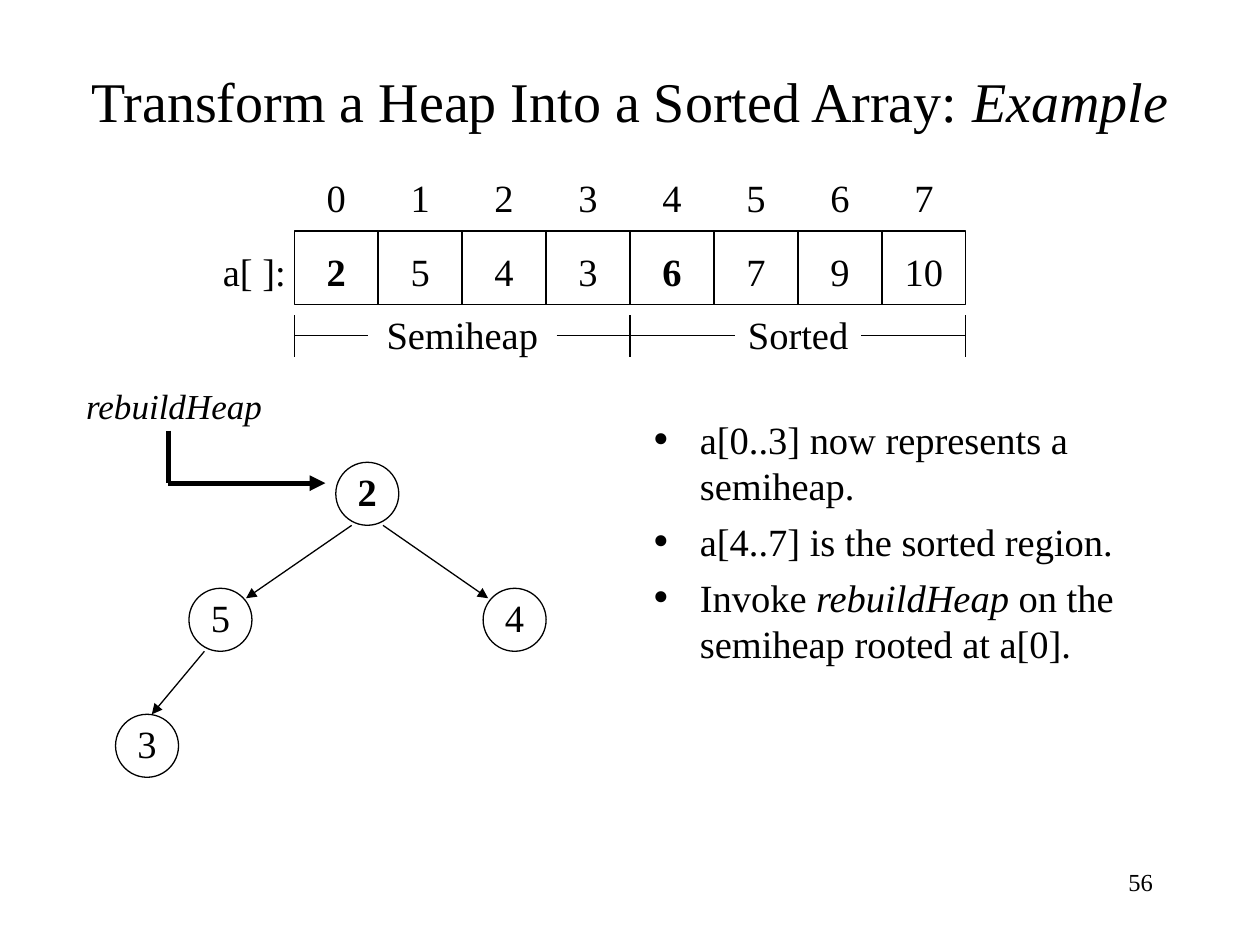
from lxml import etree
from pptx import Presentation
from pptx.dml.color import RGBColor
from pptx.enum import shapes, text
from pptx.oxml import ns
from pptx.util import Cm, Pt

COLORS = {"ink": "000000", "paper": "FFFFFF"}
INK = RGBColor.from_string(COLORS["ink"])
FONT = "Times New Roman"
ALIGN = text.PP_ALIGN
ANCHOR = text.MSO_ANCHOR

deck = Presentation()
deck.slide_width, deck.slide_height = Cm(25.4), Cm(19.05)
slide = deck.slides.add_slide(deck.slide_layouts[6])
slide.background.fill.solid()
slide.background.fill.fore_color.rgb = RGBColor.from_string(COLORS["paper"])


def add_label(left, top, width, height, parts, size=22, align=ALIGN.CENTER,
              outline=None, bold=False, anchor=ANCHOR.MIDDLE, wrap=True):
    box = (left, top, width, height)
    if outline is None:
        holder = slide.shapes.add_textbox(*map(Cm, box))
    else:
        holder = slide.shapes.add_shape(outline, *map(Cm, box))
        holder.shadow.inherit = False
        holder.fill.background()
        holder.line.color.rgb = INK
        holder.line.width = Pt(0.75)
        holder.text_frame.margin_left = holder.text_frame.margin_right = 0
    frame = holder.text_frame
    frame.word_wrap = wrap
    frame.vertical_anchor = anchor
    for number, paragraph_parts in enumerate(parts):
        paragraph = frame.add_paragraph() if number else frame.paragraphs[0]
        paragraph.alignment = align
        for words, italic in paragraph_parts:
            run = paragraph.add_run()
            run.text = words
            run.font.name, run.font.size = FONT, Pt(size)
            run.font.bold, run.font.italic = bold, italic
            run.font.color.rgb = INK
    return frame


def add_line(x1, y1, x2, y2, width=0.75, arrow=False):
    line = slide.shapes.add_connector(
        shapes.MSO_CONNECTOR.STRAIGHT, Cm(x1), Cm(y1), Cm(x2), Cm(y2))
    line.line.color.rgb = INK
    line.line.width = Pt(width)
    if arrow:
        etree.SubElement(line.line._get_or_add_ln(), ns.qn("a:tailEnd"), type="triangle")
    etree.SubElement(line._element.spPr, ns.qn("a:effectLst"))


add_label(1.48, 1.27, 22.44, 1.48,
          [[("Transform a Heap Into a Sorted Array: ", False), ("Example", True)]], size=32)

notes = add_label(12.91, 8.26, 10.8, 9.31, [
    [("a[0..3] now represents a semiheap.", False)],
    [("a[4..7] is the sorted region.", False)],
    [("Invoke ", False), ("rebuildHeap", True), (" on the semiheap rooted at a[0].", False)],
], align=ALIGN.LEFT, anchor=ANCHOR.TOP)
for paragraph in notes.paragraphs:
    paragraph.space_before = Pt(5.5)
    props = paragraph._p.get_or_add_pPr()
    props.set("marL", str(Cm(0.95)))
    props.set("indent", str(-Cm(0.95)))
    etree.SubElement(props, ns.qn("a:buSzPct"), val="120000")
    etree.SubElement(props, ns.qn("a:buFont"), typeface=FONT)
    etree.SubElement(props, ns.qn("a:buChar"), char="•")

NODE = 1.27
for value, left, top in [("3", 2.33, 14.4), ("5", 3.81, 11.86),
                         ("4", 9.74, 11.86), ("2", 6.77, 9.32)]:
    node = add_label(left, top, NODE, NODE, [[(value, False)]],
                     outline=shapes.MSO_SHAPE.OVAL, bold=value == "2", wrap=False)
    node.margin_top, node.margin_bottom = 0, Cm(0.1)

for edge in [(4.12, 13.13, 3.06, 14.4), (7.09, 10.59, 4.96, 12.06),
             (7.72, 10.59, 9.84, 12.06)]:
    add_line(*edge, arrow=True)

ARRAY_LEFT, ARRAY_RIGHT = 5.93, 19.47
CELL = (ARRAY_RIGHT - ARRAY_LEFT) / 8
for index, value in enumerate([2, 5, 4, 3, 6, 7, 9, 10]):
    left = ARRAY_LEFT + index * CELL
    add_label(left, 3.39, CELL, 1.19, [[(str(index), False)]], anchor=ANCHOR.TOP)
    cell = add_label(left, 4.66, CELL, 1.48, [[(str(value), False)]],
                     outline=shapes.MSO_SHAPE.RECTANGLE, bold=value in (2, 6))
    cell.margin_top, cell.margin_bottom = Cm(0.28), Cm(0.13)

add_label(4.24, 4.88, 1.78, 1.19, [[("a[ ]:", False)]], wrap=False)
add_label(7.54, 6.15, 3.56, 1.19, [[("Semiheap", False)]], wrap=False)
add_label(14.59, 6.15, 3, 1.19, [[("Sorted", False)]], wrap=False)

for boundary in (0, 4, 8):
    x = ARRAY_LEFT + boundary * CELL
    add_line(x, 6.35, x, 7.2)
for start, end in [(ARRAY_LEFT, 7.41), (11.22, 14.82), (17.36, ARRAY_RIGHT)]:
    add_line(start, 6.77, end, 6.77)

add_label(1.48, 7.62, 4.06, 1.12, [[("rebuildHeap", True)]], size=20, wrap=False)
add_line(3.39, 8.68, 3.39, 9.74, width=3)
add_line(3.39, 9.74, 6.56, 9.74, width=3, arrow=True)

add_label(18.2, 17.36, 5.29, 1.27, [[("56", False)]], size=14,
          align=ALIGN.RIGHT, anchor=ANCHOR.TOP)

deck.save("out.pptx")
